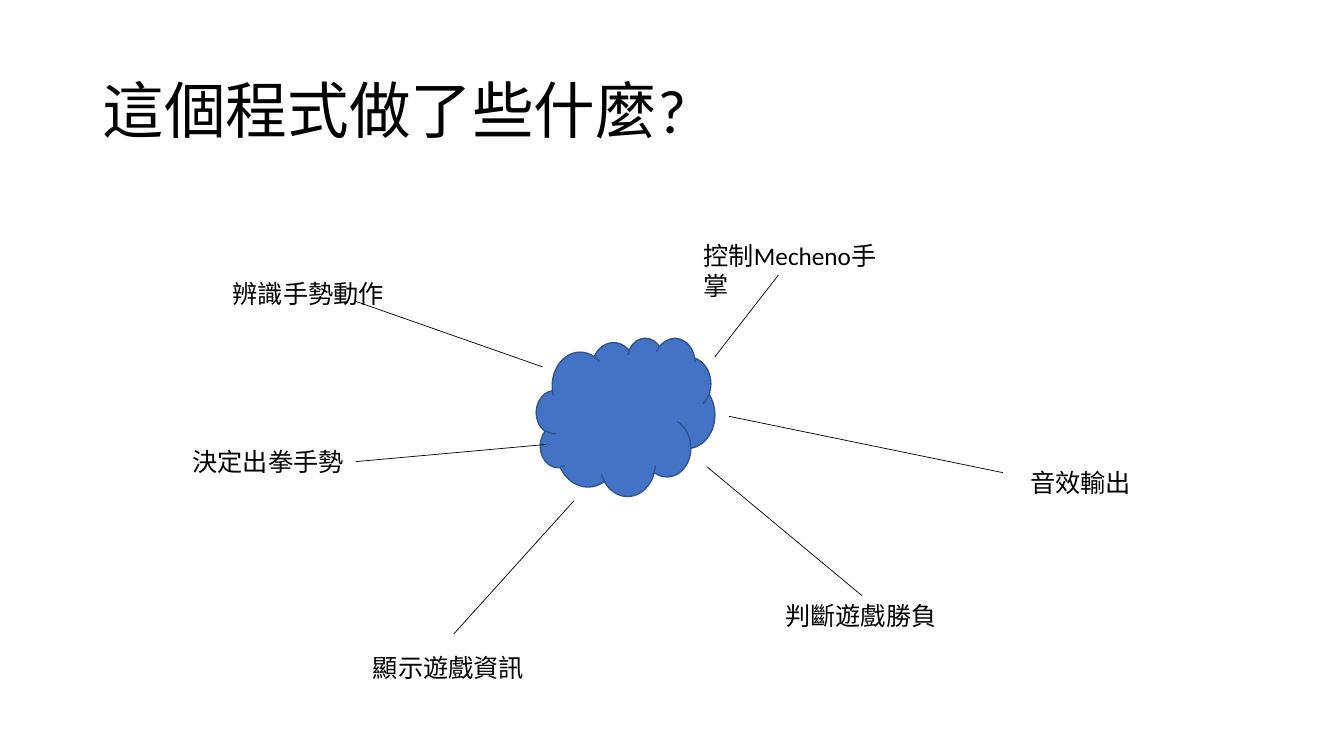
from lxml.etree import SubElement
from pptx import Presentation
from pptx.dml.color import RGBColor
from pptx.enum.shapes import MSO_CONNECTOR as Connector, MSO_SHAPE as Preset
from pptx.enum.text import MSO_ANCHOR as Anchor
from pptx.oxml.ns import qn
from pptx.util import Inches, Pt

BLACK = RGBColor(0x00, 0x00, 0x00)
CLOUD_FILL = RGBColor(0x44, 0x72, 0xC4)
CLOUD_EDGE = RGBColor(0x32, 0x54, 0x91)
FONT = "Calibri"
TOP, RIGHT = 0, 3

# Places are percentages of the slide's width and height.
TITLE = ("這個程式做了些什麼?", (6.9, 5.33, 86.27, 19.33))
CLOUD = (39.91, 44.67, 13.28, 20.93)
LABEL_HEIGHT = 5.33
TASKS = [
    ("辨識手勢動作", (16.58, 36.13, 12.9), (26.48, 39.87), (40.36, 48.53)),
    ("控制Mecheno手掌", (51.61, 31.07, 15.23), (57.91, 36.4), (53.19, 47.2)),
    ("決定出拳手勢", (13.58, 58.4, 12.9), RIGHT, (40.59, 58.8)),
    ("判斷遊戲勝負", (57.69, 78.8, 12.9), TOP, (52.59, 61.73)),
    ("顯示遊戲資訊", (27.01, 85.6, 12.9), (33.76, 83.87), (42.69, 66.27)),
    ("音效輸出", (75.92, 61.2, 9.08), (74.64, 62.53), (54.24, 55.07)),
]

deck = Presentation()
deck.slide_width, deck.slide_height = Inches(13.33), Inches(7.5)
page = deck.slides.add_slide(deck.slide_layouts[6])


def place(*shares):
    """Turn alternating width and height percentages into slide lengths."""
    sides = (deck.slide_width, deck.slide_height)
    return [int(sides[i % 2] * share / 100) for i, share in enumerate(shares)]


def add_text(text, area, size=18, anchor=Anchor.TOP, spacing=1.0):
    """Add a wrapped text box and return it."""
    box = page.shapes.add_textbox(*place(*area))
    frame = box.text_frame
    frame.word_wrap = True
    frame.vertical_anchor = anchor
    para = frame.paragraphs[0]
    para.line_spacing = spacing
    span = para.add_run()
    span.text = text
    span.font.name, span.font.size = FONT, Pt(size)
    span.font.color.rgb = BLACK
    return box


def add_ray(label, start, end):
    """Draw a thin line from a label's side or a point towards the cloud."""
    joined = isinstance(start, int)
    origin = (0, 0) if joined else start
    ray = page.shapes.add_connector(Connector.STRAIGHT, *place(*origin, *end))
    if joined:
        ray.begin_connect(label, start)
    ray.line.color.rgb = BLACK
    ray.line.width = Pt(0.5)
    SubElement(ray._element.spPr, qn("a:effectLst"))


def main():
    """Build the slide and save it."""
    title, area = TITLE
    add_text(title, area, size=44, anchor=Anchor.MIDDLE, spacing=0.9)
    cloud = page.shapes.add_shape(Preset.CLOUD, *place(*CLOUD))
    cloud.shadow.inherit = False
    cloud.fill.solid()
    cloud.fill.fore_color.rgb = CLOUD_FILL
    cloud.line.color.rgb = CLOUD_EDGE
    cloud.line.width = Pt(1)
    for text, corner, start, end in TASKS:
        label = add_text(text, (*corner, LABEL_HEIGHT))
        add_ray(label, start, end)
    deck.save("out.pptx")


if __name__ == "__main__":
    main()
